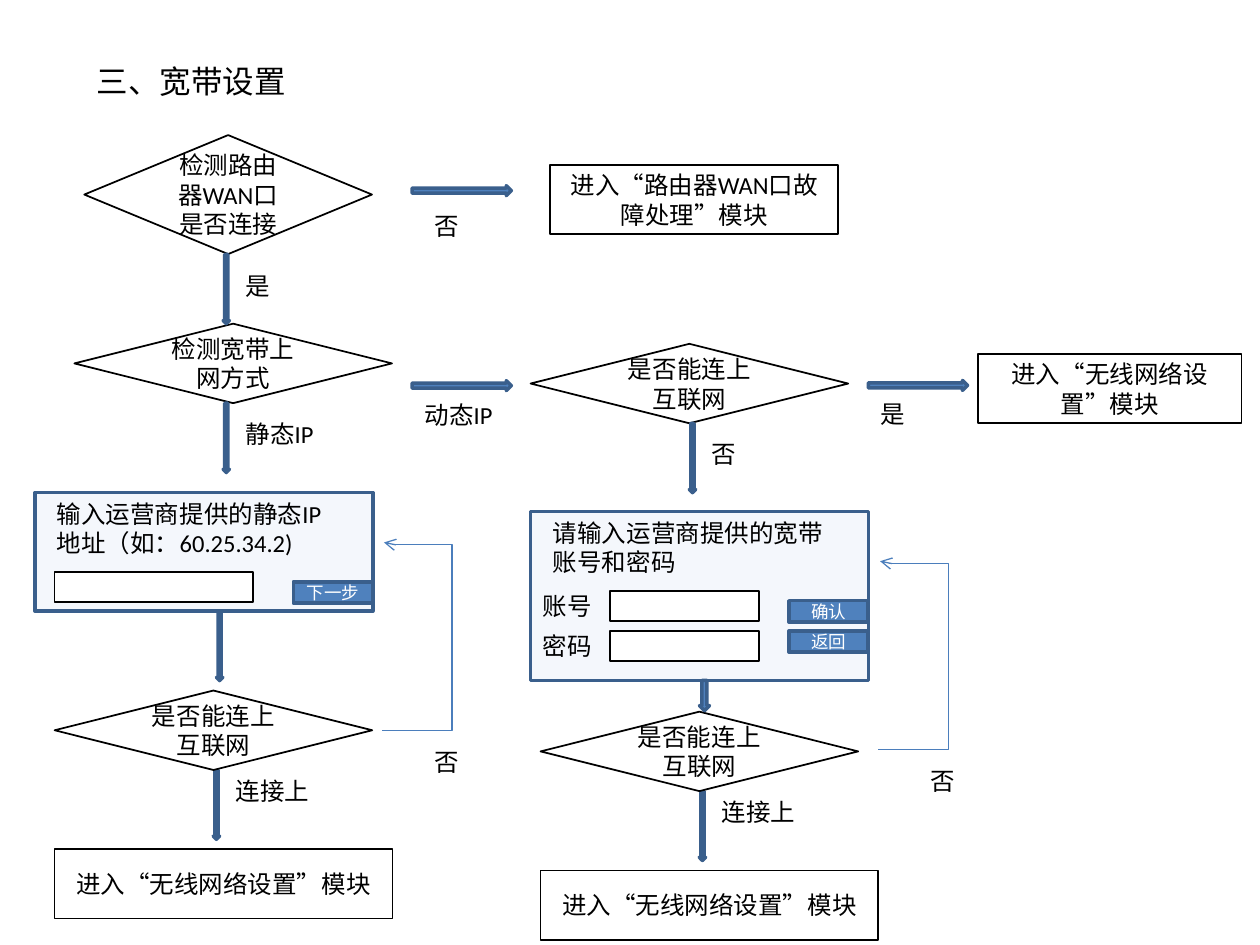
from lxml import etree
from pptx import Presentation
from pptx.dml.color import RGBColor
from pptx.enum.shapes import MSO_CONNECTOR, MSO_SHAPE
from pptx.enum.text import MSO_ANCHOR, PP_ALIGN
from pptx.oxml.ns import qn
from pptx.util import Pt

RECTANGLE, PROCESS = MSO_SHAPE.RECTANGLE, MSO_SHAPE.FLOWCHART_PROCESS
DIAMOND = MSO_SHAPE.DIAMOND
DOWN, RIGHT = MSO_SHAPE.DOWN_ARROW, MSO_SHAPE.RIGHT_ARROW
ELBOW = MSO_CONNECTOR.ELBOW
TOP, MIDDLE = MSO_ANCHOR.TOP, MSO_ANCHOR.MIDDLE
LEFT, CENTER = PP_ALIGN.LEFT, PP_ALIGN.CENTER

COLORS = {"ink": "000000", "paper": "FFFFFF", "accent": "4F81BD",
          "edge": "3A5F8C", "loop": "4B7EBC", "panel": "C6D9F1"}
FONT = "Calibri"
DECISION_WIDTH, DECISION_HEIGHT = 181.5, 45.4
STEP_WIDTH, STEP_HEIGHT = 193, 39.6
BUTTON_WIDTH, BUTTON_HEIGHT = 45.4, 12.2
ARROW_LENGTH = 39.6
WIRELESS = "进入“无线网络设置”模块"
ONLINE = "是否能连上互联网"


def color(name):
    """Return the named colour."""
    return RGBColor.from_string(COLORS[name])


def write(shape, text, size=14, ink="ink", align=LEFT, anchor=TOP):
    """Put one formatted paragraph in a shape."""
    frame = shape.text_frame
    frame.word_wrap = True
    frame.vertical_anchor = anchor
    frame.text = text
    paragraph = frame.paragraphs[0]
    paragraph.alignment = align
    paragraph.font.size = Pt(size)
    paragraph.font.name = FONT
    paragraph.font.color.rgb = color(ink)


def add_box(slide, kind, box, text="", fill="paper", line="ink", line_width=1,
            size=14, ink="ink"):
    """Add a filled, outlined preset shape with optional centred text."""
    shape = slide.shapes.add_shape(kind, *map(Pt, box))
    shape.shadow.inherit = False
    shape.fill.solid()
    shape.fill.fore_color.rgb = color(fill)
    shape.line.color.rgb = color(line)
    shape.line.width = Pt(line_width)
    if text:
        write(shape, text, size, ink, CENTER, MIDDLE)
    return shape


def add_label(slide, left, top, text, width=68, height=24.5):
    """Add plain text."""
    write(slide.shapes.add_textbox(Pt(left), Pt(top), Pt(width), Pt(height)), text)


def add_decision(slide, left, top, text):
    """Add a standard decision diamond."""
    add_box(slide, DIAMOND, (left, top, DECISION_WIDTH, DECISION_HEIGHT), text)


def add_accent(slide, kind, box, text=""):
    """Add a blue arrow or button."""
    add_box(slide, kind, box, text, "accent", "edge", 2, 10, "paper")


def add_down(slide, left, top, width=3.6, length=ARROW_LENGTH):
    """Add a block arrow pointing down."""
    add_accent(slide, DOWN, (left, top, width, length))


def add_right(slide, left, top):
    """Add a block arrow pointing right."""
    add_accent(slide, RIGHT, (left, top, 56.7, 5.7))


def add_loop(slide, left, bottom, height=107.6):
    """Add the bent arrow that leads back up to a form."""
    connector = slide.shapes.add_connector(
        ELBOW, Pt(left), Pt(bottom), Pt(left + 1), Pt(bottom - height))
    connector.line.color.rgb = color("loop")
    connector.line.width = Pt(0.75)
    properties = connector._element.spPr
    geometry = properties.find(qn("a:prstGeom"))
    geometry.set("prst", "bentConnector4")
    adjustments = geometry.find(qn("a:avLst"))
    if adjustments is None:
        adjustments = etree.SubElement(geometry, qn("a:avLst"))
    for name, value in (("adj1", 4023500), ("adj2", 98900)):
        etree.SubElement(adjustments, qn("a:gd"), name=name, fmla=f"val {value}")
    etree.SubElement(properties.find(qn("a:ln")), qn("a:tailEnd"), type="arrow")
    etree.SubElement(properties, qn("a:effectLst"))


def add_form(slide, box, prompt, prompt_left, fields, buttons):
    """Add a form panel; fields are (left, top, width, caption) in the panel."""
    left, top, width, _ = box
    panel = add_box(slide, RECTANGLE, box, fill="panel", line="edge", line_width=2)
    fill = panel._element.spPr.find(qn("a:solidFill"))
    etree.SubElement(fill[0], qn("a:alpha"), val="19000")
    add_label(slide, left + prompt_left, top, prompt, 175.7, 58)
    for field_left, field_top, field_width, caption in fields:
        add_box(slide, RECTANGLE,
                (left + field_left, top + field_top, field_width, 17.2))
        if caption:
            add_label(slide, left, top + field_top - 3.5, caption, 51)
    for button_top, text in buttons:
        add_accent(slide, RECTANGLE, (left + width - BUTTON_WIDTH, top + button_top,
                                      BUTTON_WIDTH, BUTTON_HEIGHT), text)


def add_retry(slide, left, top, loop_left, loop_top):
    """Add the closing online check, its way back and the final step."""
    below = top + DECISION_HEIGHT
    add_down(slide, left + 90.7, below)
    add_label(slide, left + 96.4, below, "连接上", 57)
    add_decision(slide, left, top, ONLINE)
    add_box(slide, PROCESS, (left, top + 90.7, STEP_WIDTH, STEP_HEIGHT), WIRELESS)
    add_loop(slide, left + loop_left, top + loop_top)
    add_label(slide, left + loop_left + 22.7, top + loop_top + 5.7, "否", 34)


def add_detection(slide, left, top):
    """Add the port check and the connection type check."""
    add_box(slide, DIAMOND, (left + 5.7, top, 164.4, 68), "检测路由器WAN口是否连接")
    add_right(slide, left + 193, top + 28.9)
    add_label(slide, left + 198.7, top + 39.6, "否", 34)
    add_box(slide, PROCESS, (left + 272, top + 17.1, 164.4, STEP_HEIGHT),
            "进入“路由器WAN口故障处理”模块")
    add_decision(slide, left, top + 107.8, "检测宽带上网方式")
    for arrow_top, text in ((68.2, "是"), (153.2, "静态IP")):
        add_down(slide, left + 85, top + arrow_top)
        add_label(slide, left + 90.7, top + arrow_top + 5.7, text)
    add_right(slide, left + 193, top + 140.3)
    add_label(slide, left + 193, top + 147.6, "动态IP")


def add_static_branch(slide, left, top):
    """Add the static address branch."""
    add_form(slide, (left, top, STEP_WIDTH, 67.8),
             "输入运营商提供的静态IP地址（如：60.25.34.2)", 5.4,
             [(11.2, 45.4, 113.4, "")], [(51, "下一步")])
    add_down(slide, left + 103.7, top + 67.8)
    add_retry(slide, left + 11.2, top + 113.1, 187.2, 23)


def add_dynamic_branch(slide, left, top):
    """Add the dynamic address branch."""
    add_decision(slide, left, top, ONLINE)
    add_right(slide, left + 193, top + 20.9)
    add_label(slide, left + 193, top + 28.1, "是", 34)
    add_box(slide, PROCESS, (left + 255.6, top + 5.7, 150.6, STEP_HEIGHT), WIRELESS)
    add_down(slide, left + 90.7, top + 45.4)
    add_label(slide, left + 96.5, top + 51.1, "否", 34)
    add_form(slide, (left, top + 95.8, STEP_WIDTH, 96.5),
             "请输入运营商提供的宽带账号和密码", 5.7,
             [(45.4, 45.4, 85, "账号"), (45.4, 68.2, 85, "密码")],
             [(51, "确认"), (68.2, "返回")])
    add_retry(slide, left + 5.7, top + 210.2, 193, 21.6)
    add_down(slide, left + 96.5, top + 192.3, 5.7, 17.3)


def add_title(slide, left, top):
    """Place and format the title."""
    title = slide.shapes.title
    title.left, title.top, title.width, title.height = map(Pt, (left, top, 198.7, 29))
    write(title, "三、宽带设置", 18)


def main():
    """Build and save the presentation."""
    presentation = Presentation()
    presentation.slide_width, presentation.slide_height = Pt(720), Pt(540)
    slide = presentation.slides.add_slide(presentation.slide_layouts[5])
    add_title(slide, 48.2, 31.7)
    add_detection(slide, 42.5, 77.2)
    add_static_branch(slide, 20, 281.5)
    add_dynamic_branch(slide, 303.2, 196.5)
    presentation.save("out.pptx")


main()
